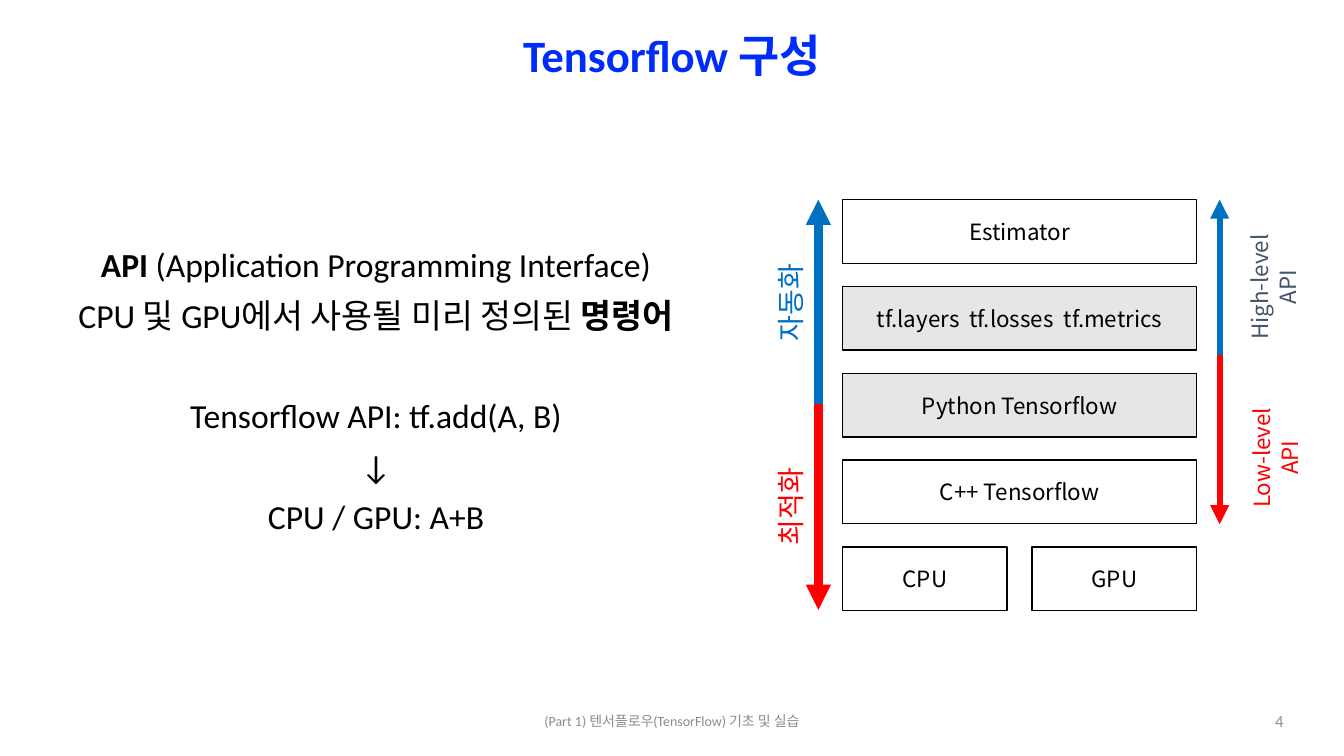
import pptx
import pptx.dml.color
import pptx.enum.shapes
import pptx.enum.text
import pptx.oxml.ns
import pptx.util
from lxml import etree

Pt = pptx.util.Pt
RGBColor = pptx.dml.color.RGBColor
ALIGN = pptx.enum.text.PP_ALIGN
ANCHOR = pptx.enum.text.MSO_ANCHOR

BLACK = RGBColor(0x00, 0x00, 0x00)
GRAY = RGBColor(0x8C, 0x8C, 0x8C)
LIGHT_GRAY = RGBColor(0xE7, 0xE6, 0xE6)
TITLE_BLUE = RGBColor(0x00, 0x2C, 0xFB)
BLUE = RGBColor(0x00, 0x70, 0xC0)
RED = RGBColor(0xFF, 0x00, 0x00)
SLATE = RGBColor(0x44, 0x54, 0x6A)

TEXT_FONT = "Calibri"
DIAGRAM_FONT = "Noto Sans CJK KR"

STACK_LEFT, STACK_TOP, STACK_WIDTH = 602, 142.6, 252.7
LAYER_HEIGHT, LAYER_PITCH = 45.5, 62
DEVICE_WIDTH = 117.4


def style_run(run, size, color, font=TEXT_FONT, bold=False):
    run.font.size = Pt(size)
    run.font.name = font
    run.font.bold = bold
    run.font.color.rgb = color
    # East Asian characters use the same typeface
    east_asian = etree.SubElement(run.font._element, pptx.oxml.ns.qn("a:ea"))
    east_asian.set("typeface", font)


def add_text(slide, box, lines, size, color, font=TEXT_FONT, bold=False,
             align=ALIGN.CENTER, anchor=ANCHOR.MIDDLE, spacing=None):
    """Each line is a list of (text, bold) pairs or a plain string."""
    textbox = slide.shapes.add_textbox(*map(Pt, box))
    frame = textbox.text_frame
    frame.word_wrap = True
    frame.vertical_anchor = anchor
    for index, line in enumerate(lines):
        paragraph = frame.add_paragraph() if index else frame.paragraphs[0]
        paragraph.alignment = align
        paragraph.line_spacing = spacing
        pieces = [(line, bold)] if isinstance(line, str) else line
        for text, is_bold in pieces:
            run = paragraph.add_run()
            run.text = text
            style_run(run, size, color, font, is_bold)
    return textbox


def add_upward_label(slide, center_x, center_y, length, thickness, lines,
                     size, color, spacing=None):
    box = (center_x - length / 2, center_y - thickness / 2, length, thickness)
    label = add_text(slide, box, lines, size, color, DIAGRAM_FONT,
                     spacing=spacing)
    label.rotation = 270


def add_layer(slide, left, row, width, text, fill=None):
    layer = slide.shapes.add_shape(
        pptx.enum.shapes.MSO_SHAPE.RECTANGLE, Pt(left),
        Pt(STACK_TOP + row * LAYER_PITCH), Pt(width), Pt(LAYER_HEIGHT))
    layer.shadow.inherit = False
    layer.line.color.rgb = BLACK
    layer.line.width = Pt(1)
    if fill is None:
        layer.fill.background()
    else:
        layer.fill.solid()
        layer.fill.fore_color.rgb = fill
    frame = layer.text_frame
    frame.word_wrap = True
    frame.vertical_anchor = ANCHOR.MIDDLE
    frame.margin_left = frame.margin_right = Pt(5)
    frame.margin_top = frame.margin_bottom = Pt(3)
    frame.text = text
    frame.paragraphs[0].alignment = ALIGN.CENTER
    style_run(frame.paragraphs[0].runs[0], 16, BLACK, DIAGRAM_FONT)


def add_arrow(slide, x, start_y, end_y, color, width):
    arrow = slide.shapes.add_connector(
        pptx.enum.shapes.MSO_CONNECTOR.STRAIGHT,
        Pt(x), Pt(start_y), Pt(x), Pt(end_y))
    arrow.line.color.rgb = color
    arrow.line.width = Pt(width)
    qn = pptx.oxml.ns.qn
    etree.SubElement(arrow.line._get_or_add_ln(), qn("a:tailEnd"),
                     type="triangle")
    etree.SubElement(arrow._element.spPr, qn("a:effectLst"))


def add_explanation(slide):
    lines = [
        [("API", True), (" (Application Programming Interface)", False)],
        [("CPU 및 GPU에서 사용될 미리 정의된 ", False), ("명령어", True)],
        "Tensorflow API: tf.add(A, B)",
        "↓",
        "CPU / GPU: A+B",
    ]
    body = add_text(slide, (27.4, 174.2, 482.4, 229), lines, 24, BLACK,
                    anchor=ANCHOR.TOP, spacing=0.9)
    # The example stands one line apart from the definition
    gaps = (10, 46, 10, 10)
    for paragraph, gap in zip(body.text_frame.paragraphs[1:], gaps):
        paragraph.space_before = Pt(gap)


def add_stack(slide):
    layers = [
        ("Estimator", None),
        ("tf.layers  tf.losses  tf.metrics", LIGHT_GRAY),
        ("Python Tensorflow", LIGHT_GRAY),
        ("C++ Tensorflow", None),
    ]
    for row, (text, fill) in enumerate(layers):
        add_layer(slide, STACK_LEFT, row, STACK_WIDTH, text, fill)
    gpu_left = STACK_LEFT + STACK_WIDTH - DEVICE_WIDTH
    for left, device in ((STACK_LEFT, "CPU"), (gpu_left, "GPU")):
        add_layer(slide, left, len(layers), DEVICE_WIDTH, device)


def add_scales(slide):
    # Automation against optimisation
    for end_y, color, label_y, label in (
            (STACK_TOP, BLUE, 216, "자동화"), (435.6, RED, 362, "최적화")):
        add_arrow(slide, 584.6, 288.7, end_y, color, 6)
        add_upward_label(slide, 564.5, label_y, 147, 37, [label], 20, color)
    # High-level against low-level API
    for end_y, color, label_x, label_y, label, label_color in (
            (STACK_TOP, BLUE, 909, 205, "High-level", SLATE),
            (374.4, RED, 910.4, 327, "Low-level", RED)):
        add_arrow(slide, 871.2, 253.4, end_y, color, 4.5)
        add_upward_label(slide, label_x, label_y, 108, 42.5, [label, "API"],
                         16, label_color, Pt(20))


def main():
    presentation = pptx.Presentation()
    presentation.slide_width = Pt(960)
    presentation.slide_height = Pt(540)
    slide = presentation.slides.add_slide(presentation.slide_layouts[6])

    # Title and explanation
    add_text(slide, (0, 0, 960, 82.8), ["Tensorflow 구성"], 32, TITLE_BLUE,
             bold=True, spacing=0.9)
    add_explanation(slide)

    # Diagram
    add_stack(slide)
    add_scales(slide)

    # Footer and slide number
    add_text(slide, (318, 500.5, 324, 28.8),
             ["(Part 1) 텐서플로우(TensorFlow) 기초 및 실습"], 10, GRAY)
    add_text(slide, (894, 500.5, 30, 28.8), ["4"], 12, GRAY,
             align=ALIGN.RIGHT)

    presentation.save("out.pptx")


if __name__ == "__main__":
    main()
